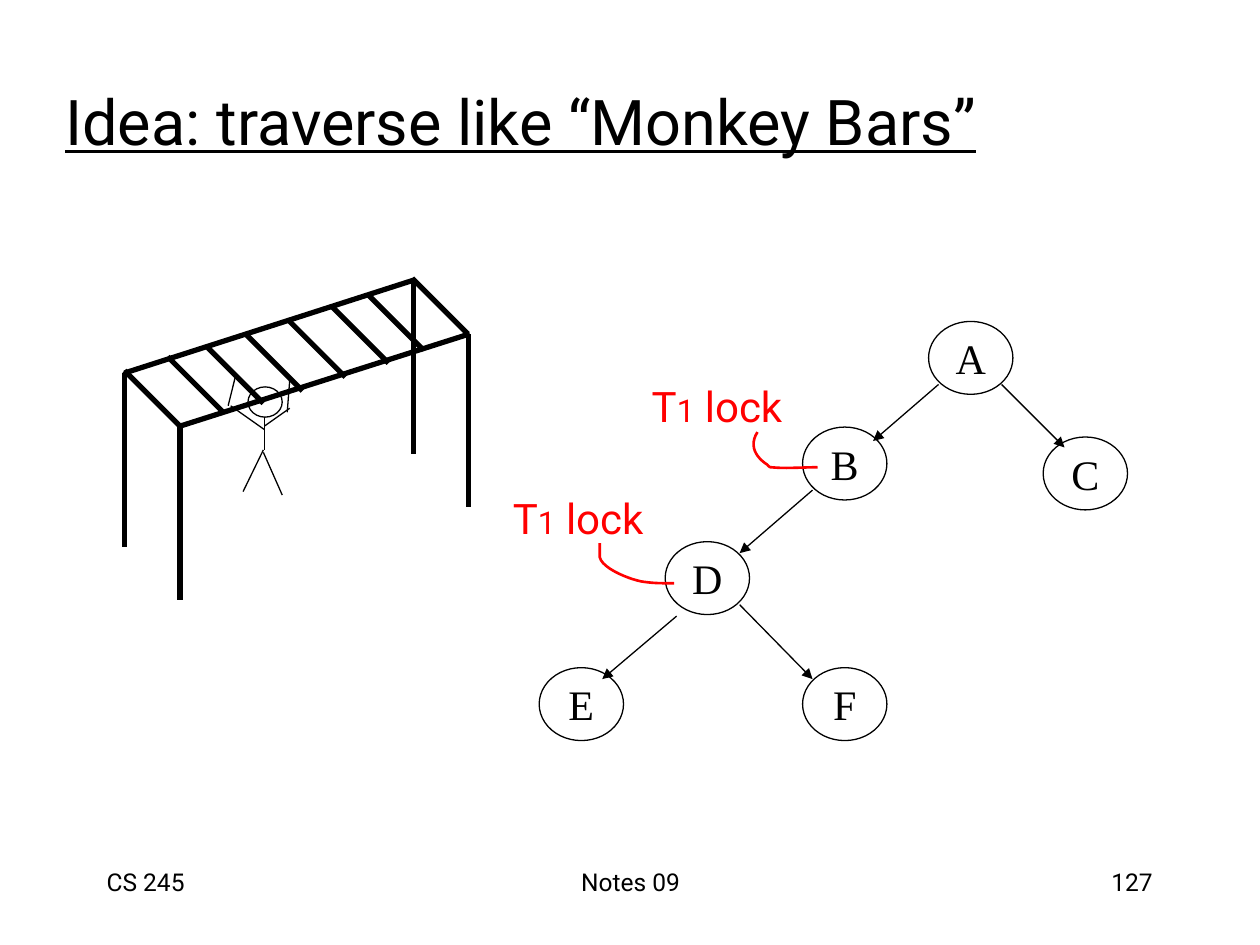
"""Build the slide comparing tree lock traversal with monkey bars."""
from dataclasses import dataclass

from lxml import etree
from pptx import Presentation
from pptx.dml.color import RGBColor
from pptx.enum.shapes import MSO_CONNECTOR, MSO_SHAPE
from pptx.enum.text import MSO_ANCHOR, PP_ALIGN
from pptx.oxml.ns import qn
from pptx.util import Cm, Pt

STRAIGHT = MSO_CONNECTOR.STRAIGHT
ELLIPSE = MSO_SHAPE.OVAL
TOP, MIDDLE = MSO_ANCHOR.TOP, MSO_ANCHOR.MIDDLE
LEFT, CENTER, RIGHT = PP_ALIGN.LEFT, PP_ALIGN.CENTER, PP_ALIGN.RIGHT


@dataclass(frozen=True)
class Theme:
    """Colours, fonts, type sizes and line widths."""
    ink: RGBColor = RGBColor(0, 0, 0)
    paper: RGBColor = RGBColor(255, 255, 255)
    lock: RGBColor = RGBColor(255, 0, 0)
    sans: str = "Roboto"
    serif: str = "Times New Roman"
    title: int = 36
    label: int = 24
    index: int = 18
    footer: int = 14
    thin: float = 0.75
    curve: float = 1.5
    bar: float = 3


THEME = Theme()

FOOTERS = [("CS 245", 1.9, 5.28, LEFT), ("Notes 09", 8.69, 8.05, CENTER),
           ("127", 18.21, 5.28, RIGHT)]

HEAD = (5, 7.8, 0.69, 0.61)
LIMBS = [(5.33, 8.41, 5.33, 9.07), (5.31, 9.07, 4.9, 9.91),
         (5.31, 9.12, 5.69, 9.98), (5.33, 8.66, 4.65, 8.18),
         (4.6, 8.18, 4.75, 7.57), (5.33, 8.59, 5.84, 8.23),
         (5.79, 8.31, 5.84, 7.67)]

POST_HEIGHT = 3.5
POST_TOPS = [(3.63, 8.59), (9.45, 6.73), (2.51, 7.52), (8.33, 5.66)]
RAILS = [(9.47, 6.73, 3.63, 8.59), (8.36, 5.64, 2.51, 7.52)]
RUNG_REACH = 1.12
RUNG_STARTS = [(2.51, 7.47), (3.38, 7.19), (4.19, 7.01), (4.98, 6.76),
               (5.84, 6.48), (6.71, 6.2), (7.42, 5.94), (8.31, 5.61)]

NODE_SIZE = (1.7, 1.47)
NODES = {"A": (18.72, 6.48), "B": (16.18, 8.61), "C": (21.03, 8.81),
         "D": (13.41, 10.92), "E": (10.87, 13.46), "F": (16.18, 13.46)}
EDGES = [(18.92, 7.75, 17.6, 8.89), (16.38, 9.88, 14.91, 11.15),
         (13.64, 12.42, 12.14, 13.69), (14.91, 12.19, 16.38, 13.69),
         (20.19, 7.75, 21.46, 9.02)]

LOCKS = [
    ((10.08, 9.8), [(13.59, 11.76), (13.39, 11.76), (13.18, 11.76),
                    (12.98, 11.73), (12.78, 11.71), (12.14, 11.48),
                    (12.09, 11.23), (12.09, 11.13), (12.09, 11.04),
                    (12.09, 10.95)]),
    ((12.88, 7.54), [(15.27, 8.71), (15.09, 8.99), (15.24, 9.22),
                     (15.47, 9.37), (15.49, 9.4), (15.52, 9.42),
                     (15.54, 9.42), (15.85, 9.45), (16.18, 9.42),
                     (16.48, 9.42)]),
]


def write_text(shape, spans, align, anchor, wrap=True, **formats):
    """Fill a shape with one paragraph of (text, size) spans."""
    frame = shape.text_frame
    frame.word_wrap = wrap
    frame.vertical_anchor = anchor
    para = frame.paragraphs[0]
    para.alignment = align
    color = formats.pop("color", THEME.ink)
    for text, size in spans:
        span = para.add_run()
        span.text = text
        for name, value in {"size": Pt(size), **formats}.items():
            setattr(span.font, name, value)
        span.font.color.rgb = color


def add_text(page, bounds, spans, align, anchor, **formats):
    """Add a text box holding one paragraph."""
    box = page.shapes.add_textbox(*map(Cm, bounds))
    write_text(box, spans, align, anchor, name=THEME.sans, **formats)


def add_ellipse(page, bounds):
    """Add a white ellipse with a thin outline."""
    ellipse = page.shapes.add_shape(ELLIPSE, *map(Cm, bounds))
    ellipse.shadow.inherit = False
    ellipse.fill.solid()
    ellipse.fill.fore_color.rgb = THEME.paper
    ellipse.line.color.rgb = THEME.ink
    ellipse.line.width = Pt(THEME.thin)
    return ellipse


def add_line(page, ends, width, arrow=False):
    """Add a straight line, with an arrowhead at its end if asked."""
    line = page.shapes.add_connector(STRAIGHT, *map(Cm, ends))
    line.line.color.rgb = THEME.ink
    line.line.width = Pt(width)
    if arrow:
        outline = line.line._get_or_add_ln()
        etree.SubElement(outline, qn("a:tailEnd"), type="triangle")
    etree.SubElement(line._element.spPr, qn("a:effectLst"))


def bezier_points(controls, steps=12):
    """Sample a chain of cubic Bezier segments in slide units."""
    points = [controls[0]]
    for first in range(0, len(controls) - 1, 3):
        segment = controls[first:first + 4]
        for step in range(1, steps + 1):
            t = step / steps
            weights = ((1 - t) ** 3, 3 * t * (1 - t) ** 2,
                       3 * t ** 2 * (1 - t), t ** 3)
            points.append(tuple(sum(weight * value for weight, value in zip(weights, axis))
                                for axis in zip(*segment)))
    return [(Cm(x), Cm(y)) for x, y in points]


def add_curve(page, controls):
    """Add an open curve in the lock colour."""
    start, *rest = bezier_points(controls)
    builder = page.shapes.build_freeform(*start)
    builder.add_line_segments(rest, close=False)
    curve = builder.convert_to_shape()
    curve.shadow.inherit = False
    curve.fill.background()
    curve.line.color.rgb = THEME.lock
    curve.line.width = Pt(THEME.curve)


def add_climber(page):
    """Draw the stick figure."""
    add_ellipse(page, HEAD)
    for limb in LIMBS:
        add_line(page, limb, THEME.thin)


def add_monkey_bars(page):
    """Draw the posts, rails and rungs."""
    posts = [(x, y, x, y + POST_HEIGHT) for x, y in POST_TOPS]
    rungs = [(x, y, x + RUNG_REACH, y + RUNG_REACH) for x, y in RUNG_STARTS]
    for bar in posts + RAILS + rungs:
        add_line(page, bar, THEME.bar)


def add_tree(page):
    """Draw the lettered nodes and their arrows."""
    for letter, corner in NODES.items():
        node = add_ellipse(page, corner + NODE_SIZE)
        write_text(node, [(letter, THEME.label)], CENTER, MIDDLE,
                   wrap=False, name=THEME.serif)
    for edge in EDGES:
        add_line(page, edge, THEME.thin, arrow=True)


def add_locks(page):
    """Label the locked nodes."""
    spans = [("T", THEME.label), ("1", THEME.index), (" lock", THEME.label)]
    for corner, controls in LOCKS:
        add_text(page, corner + (3.15, 1.27), spans, CENTER, MIDDLE,
                 wrap=False, color=THEME.lock)
        add_curve(page, controls)


def main():
    """Build and save the deck."""
    deck = Presentation()
    deck.slide_width, deck.slide_height = Cm(25.4), Cm(19.05)
    page = deck.slides.add_slide(deck.slide_layouts[6])
    for text, left, width, align in FOOTERS:
        add_text(page, (left, 17.35, width, 1.27), [(text, THEME.footer)], align, TOP)
    add_climber(page)
    add_text(page, (1.07, 1.14, 21.59, 2.57),
             [("Idea: traverse like “Monkey Bars”", THEME.title)],
             LEFT, MIDDLE, underline=True)
    add_monkey_bars(page)
    add_tree(page)
    add_locks(page)
    deck.save("out.pptx")


if __name__ == "__main__":
    main()
